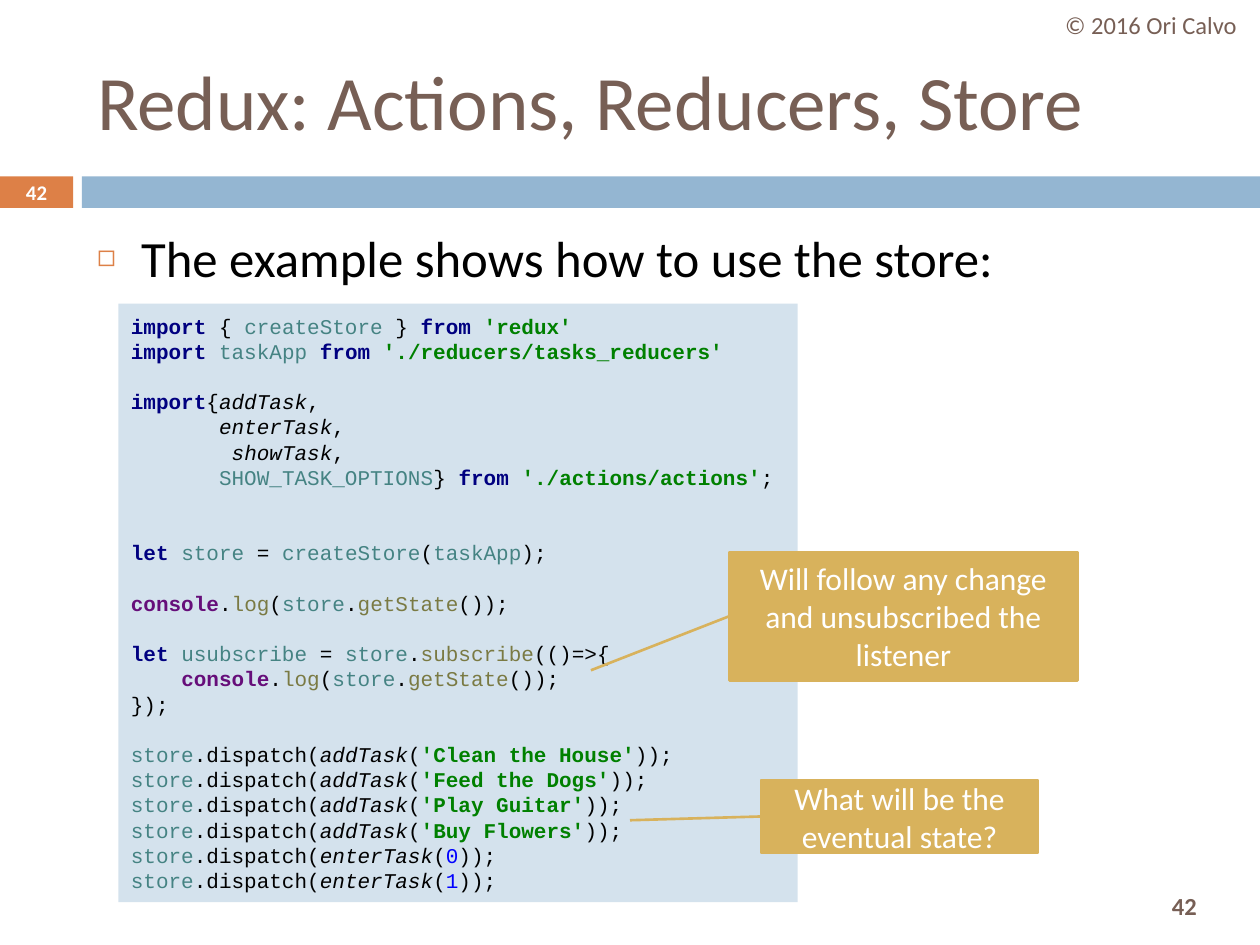
from dataclasses import dataclass, field

from lxml.etree import SubElement
from pptx import Presentation
from pptx.dml.color import RGBColor
from pptx.enum.shapes import MSO_CONNECTOR, MSO_SHAPE
from pptx.enum.text import MSO_ANCHOR, MSO_AUTO_SIZE, PP_ALIGN
from pptx.oxml.ns import qn
from pptx.util import Inches, Pt

COLUMN = Inches(10) / 100
ROW = Inches(7.5) / 75


@dataclass(frozen=True)
class Theme:
    text_font: str = "Calibri"
    code_font: str = "Courier New"
    brown: str = "775F55"
    orange: str = "DD8047"
    blue: str = "94B6D2"
    pale: str = "D4E2ED"
    gold: str = "D8B25C"
    white: str = "FFFFFF"
    black: str = "000000"
    title: float = 44
    body: float = 29
    callout: float = 18
    label: float = 14
    badge: float = 11.9
    code: float = 12
    code_line: float = 14.4
    code_styles: dict = field(default_factory=lambda: {
        "k": ("000080", {"bold": True}),
        "s": ("008000", {"bold": True}),
        "g": ("660E7A", {"bold": True}),
        "n": ("458383", {}),
        "m": ("7A7A43", {}),
        "d": ("0000FF", {}),
        "i": ("000000", {"italic": True}),
        "p": ("000000", {}),
    })


THEME = Theme()

# Each row: blank lines above, indent in characters, spans led by a style letter.
CODE = [
    (0, 0, "kimport |p{ |ncreateStore |p} |kfrom |s'redux'"),
    (0, 0, "kimport |ntaskApp |kfrom |s'./reducers/tasks_reducers'"),
    (1, 0, "kimport|p{|iaddTask|p,"),
    (0, 7, "ienterTask|p,"),
    (0, 8, "ishowTask|p,"),
    (0, 7, "nSHOW_TASK_OPTIONS|p} |kfrom |s'./actions/actions'|p;"),
    (2, 0, "klet |nstore |p= |ncreateStore|p(|ntaskApp|p);"),
    (1, 0, "gconsole|p.|mlog|p(|nstore|p.|mgetState|p());"),
    (1, 0, "klet |nusubscribe |p= |nstore|p.|msubscribe|p(()=>{"),
    (0, 4, "gconsole|p.|mlog|p(|nstore|p.|mgetState|p());"),
    (0, 0, "p});"),
] + [
    (blanks, 0, f"nstore|p.dispatch(|i{action}|p(|{value}|p));")
    for blanks, action, value in [
        (1, "addTask", "s'Clean the House'"),
        (0, "addTask", "s'Feed the Dogs'"),
        (0, "addTask", "s'Play Guitar'"),
        (0, "addTask", "s'Buy Flowers'"),
        (0, "enterTask", "d0"),
        (0, "enterTask", "d1"),
    ]
]


def apply(target, values):
    for name, value in values.items():
        setattr(target, name, value)


def grid(left, top, width, height):
    return [round(left * COLUMN), round(top * ROW), round(width * COLUMN), round(height * ROW)]


def move(box, area):
    apply(box, dict(zip(("left", "top", "width", "height"), grid(*area))))


def add_span(para, text, size, color, font=THEME.text_font, **extra):
    span = para.add_run()
    span.text = text
    apply(span.font, {"name": font, "size": Pt(size), "bold": False, **extra})
    span.font.color.rgb = RGBColor.from_string(color)


def write(box, text, size, color, align=PP_ALIGN.CENTER, anchor=MSO_ANCHOR.MIDDLE, **extra):
    frame = box.text_frame
    apply(frame, {"word_wrap": True, "auto_size": MSO_AUTO_SIZE.NONE, "vertical_anchor": anchor})
    para = frame.paragraphs[0]
    para.alignment = align
    add_span(para, text, size, color, **extra)
    return para


def add_label(page, area, text, size, color, **extra):
    write(page.shapes.add_textbox(*grid(*area)), text, size, color, **extra)


def add_panel(page, area, fill, line=None):
    panel = page.shapes.add_shape(MSO_SHAPE.RECTANGLE, *grid(*area))
    panel.shadow.inherit = False
    panel.fill.solid()
    panel.fill.fore_color.rgb = RGBColor.from_string(fill)
    if line:
        panel.line.color.rgb = RGBColor.from_string(line)
        panel.line.width = Pt(1.5)
    else:
        panel.line.fill.background()
    return panel


def add_bullet(para, indent):
    properties = para._p.get_or_add_pPr()
    properties.set("marL", str(indent))
    properties.set("indent", str(-indent))
    color = SubElement(properties, qn("a:buClr"))
    SubElement(color, qn("a:srgbClr"), val=THEME.orange)
    SubElement(properties, qn("a:buSzPct"), val="60000")
    SubElement(properties, qn("a:buChar"), char="◻")


def add_code(page, area):
    frame = add_panel(page, area, THEME.pale).text_frame
    apply(frame, {"word_wrap": True, "vertical_anchor": MSO_ANCHOR.MIDDLE})
    for number, (blanks, indent, line) in enumerate(CODE):
        para = frame.add_paragraph() if number else frame.paragraphs[0]
        apply(para, {"alignment": PP_ALIGN.LEFT, "line_spacing": Pt(THEME.code_line),
                     "space_before": Pt(blanks * THEME.code_line)})
        para._p.get_or_add_pPr().set("marL", str(Inches(indent / 10)))
        for piece in line.split("|"):
            color, extra = THEME.code_styles[piece[0]]
            add_span(para, piece[1:], THEME.code, color, THEME.code_font, **extra)


def add_callout(page, area, text, target):
    box = add_panel(page, area, THEME.gold, THEME.gold)
    write(box, text, THEME.callout, THEME.white)
    pointer = page.shapes.add_connector(
        MSO_CONNECTOR.STRAIGHT, box.left, box.top + box.height // 2,
        round(target[0] * COLUMN), round(target[1] * ROW))
    pointer.line.color.rgb = RGBColor.from_string(THEME.gold)
    pointer.line.width = Pt(1.5)
    SubElement(pointer._element.spPr, qn("a:effectLst"))


def main():
    deck = Presentation()
    apply(deck, {"slide_width": Inches(10), "slide_height": Inches(7.5)})
    page = deck.slides.add_slide(deck.slide_layouts[1])
    title, body = page.placeholders

    add_panel(page, (0, 14, 5.8, 2.5), THEME.orange)
    add_panel(page, (6.5, 14, 93.5, 2.5), THEME.blue)
    add_label(page, (89.4, 69.8, 9.2, 4.2), "42", THEME.label, THEME.brown, bold=True)
    add_label(page, (82.7, 0, 17.3, 4), "© 2016 Ori Calvo", THEME.label, THEME.brown)
    add_label(page, (0, 13.9, 5.8, 2.7), "42", THEME.badge, THEME.white, bold=True)

    move(title, (6.7, 2.5, 89.2, 10.8))
    write(title, "Redux: Actions, Reducers, Store", THEME.title, THEME.brown, PP_ALIGN.LEFT)
    move(body, (6.7, 17.5, 89.2, 6.6))
    para = write(body, "The example shows how to use the store:", THEME.body, THEME.black,
                 PP_ALIGN.LEFT, MSO_ANCHOR.TOP)
    para.space_before = Pt(7)
    add_bullet(para, Inches(0.35))

    add_code(page, (9.4, 24.1, 53.9, 47.5))
    add_callout(page, (57.9, 43.8, 27.6, 10.2),
                "Will follow any change and unsubscribed the listener", (46.9, 53.2))
    add_callout(page, (60.4, 61.9, 22, 5.8), "What will be the eventual state?", (50, 65.1))
    deck.save("out.pptx")


main()
